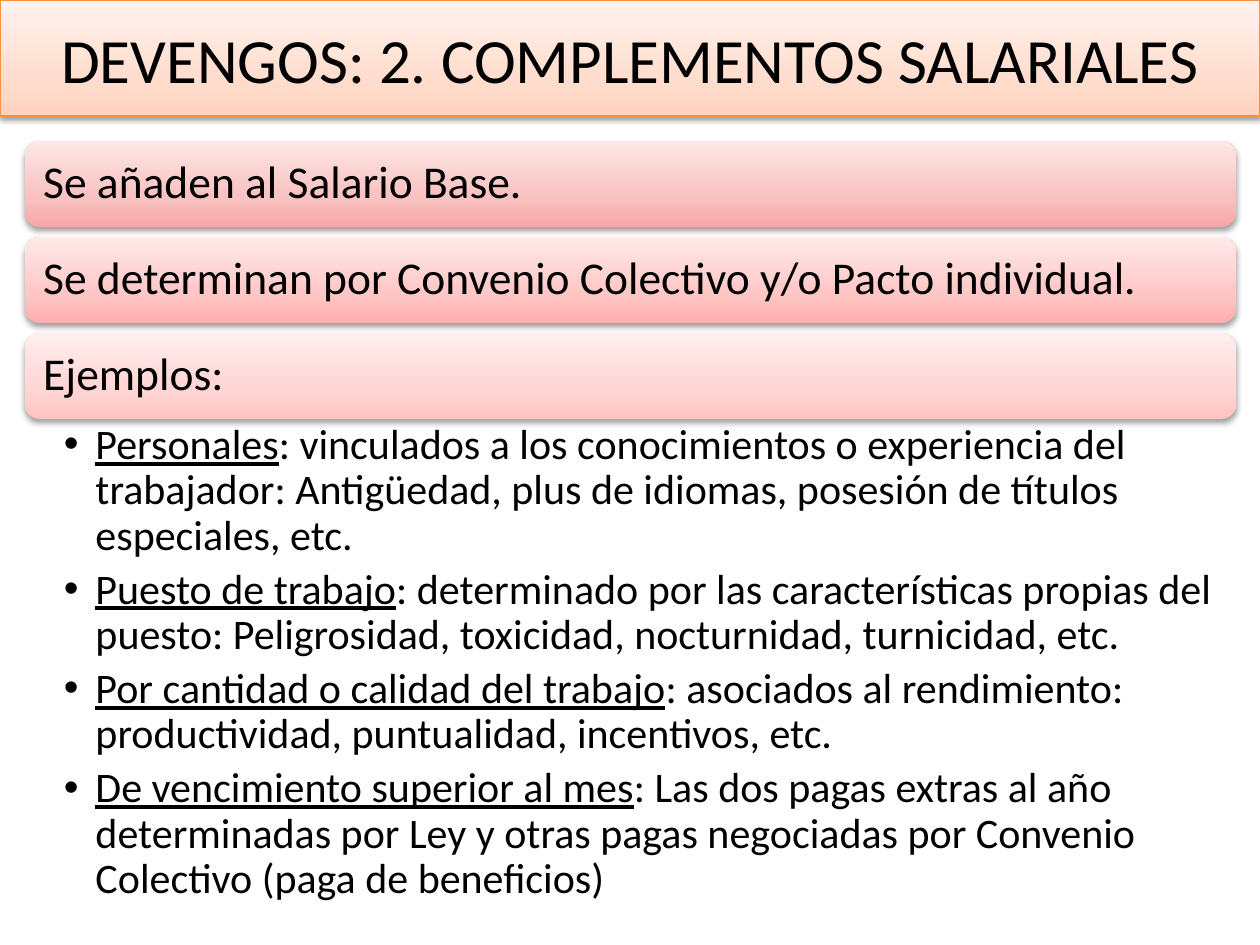
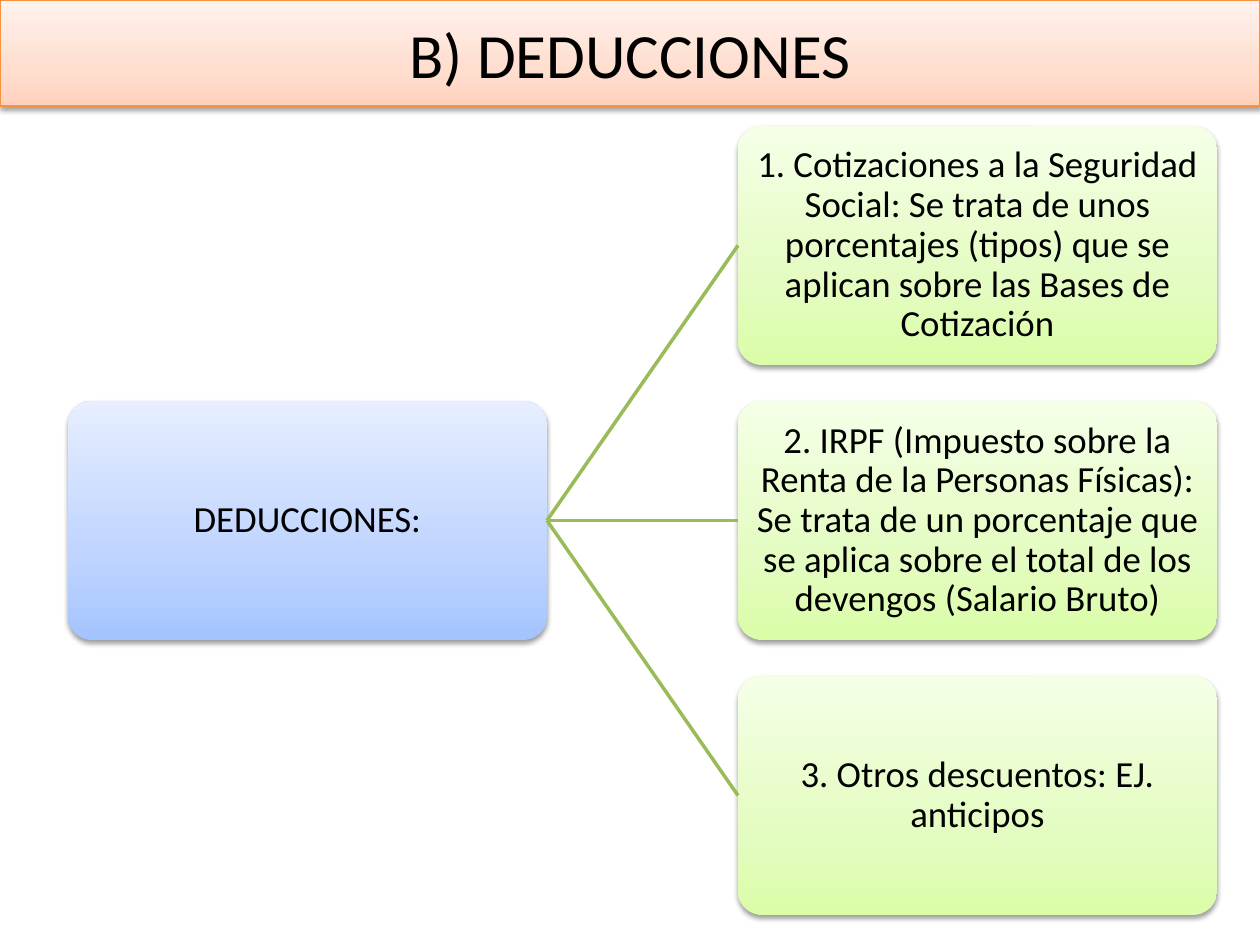
from copy import deepcopy

from lxml.etree import SubElement
from pptx import Presentation
from pptx.dml.color import RGBColor
from pptx.enum.shapes import MSO_CONNECTOR as Connector, MSO_SHAPE as Preset
from pptx.enum.text import MSO_ANCHOR as Anchor, MSO_AUTO_SIZE as AutoSize, PP_ALIGN as Align
from pptx.oxml.ns import qn
from pptx.util import Emu, Pt

FONT = "Calibri"
COLOURS = {
    "text": "000000",
    "shadow": "000000",
    "band_line": "F69240",
    "branch": "9BBB59",
    "band": ("FFD2BD", "FFDED0", "FFF2ED"),
    "row_1": ("F6A7A6", "F8C2C1", "FDE7E6"),
    "row_2": ("FFAFAE", "FEC7C6", "FFE9E9"),
    "row_3": ("FFC4C3", "FFD5D4", "FFEEEE"),
    "root": ("A4C4FF", "BFD4FF", "E6EEFF"),
    "deduction": ("DAFDA7", "E4FCC2", "F5FFE7"),
}
GRADIENT_POSITIONS = (0, 0.35, 1)

SUPPLEMENTS_TITLE = "DEVENGOS: 2. COMPLEMENTOS SALARIALES"
STATEMENTS = [
    ("row_1", "Se añaden al Salario Base."),
    ("row_2", "Se determinan por Convenio Colectivo y/o Pacto individual."),
    ("row_3", "Ejemplos:"),
]
EXAMPLES = [
    ("Personales", ": vinculados a los conocimientos o experiencia del trabajador: "
     "Antigüedad, plus de idiomas, posesión de títulos especiales, etc."),
    ("Puesto de trabajo", ": determinado por las características propias del puesto: "
     "Peligrosidad, toxicidad, nocturnidad, turnicidad, etc."),
    ("Por cantidad o calidad del trabajo", ": asociados al rendimiento: "
     "productividad, puntualidad, incentivos, etc."),
    ("De vencimiento superior al mes", ": Las dos pagas extras al año determinadas por Ley "
     "y otras pagas negociadas por Convenio Colectivo (paga de beneficios)"),
]
DEDUCTIONS_TITLE = "B) DEDUCCIONES"
ROOT = "DEDUCCIONES:"
DEDUCTIONS = [
    "1. Cotizaciones a la Seguridad Social: Se trata de unos porcentajes (tipos) "
    "que se aplican sobre las Bases de Cotización",
    "2. IRPF (Impuesto sobre la Renta de la Personas Físicas): Se trata de un porcentaje "
    "que se aplica sobre el total de los devengos (Salario Bruto)",
    "3. Otros descuentos: EJ. anticipos",
]

SLIDE_W, SLIDE_H = 1260, 945
ROW_X, ROW_Y, ROW_W, ROW_H, ROW_PITCH = 25, 141, 1211, 86, 96
EXAMPLES_Y, EXAMPLES_H = 419, 504
BOX_W, BOX_H, BOX_Y, BOX_PITCH = 479, 239, 126, 275
ROOT_X, DEDUCTION_X = 68, 738


def px(length):
    return Emu(round(length * 914400 / 126))


def rgb(name):
    return RGBColor.from_string(COLOURS[name])


def place(shape, x, y, w, h):
    shape.left, shape.top, shape.width, shape.height = map(px, (x, y, w, h))


def paint(shape, gradient):
    shape.fill.gradient()
    shape.fill.gradient_angle = 90
    properties = shape._element.spPr
    stops = properties.find(f".//{qn('a:gsLst')}")
    stops.append(deepcopy(stops[0]))
    for stop, position, colour in zip(shape.fill.gradient_stops, GRADIENT_POSITIONS,
                                      COLOURS[gradient]):
        stop.position = position
        stop.color.rgb = RGBColor.from_string(colour)
    shape.shadow.inherit = False
    shadow = SubElement(properties.find(qn("a:effectLst")), qn("a:outerShdw"),
                        blurRad="40000", dist="20000", dir="5400000", rotWithShape="0")
    tint = SubElement(shadow, qn("a:srgbClr"), val=COLOURS["shadow"])
    SubElement(tint, qn("a:alpha"), val="38000")


def set_font(paragraph, size):
    font = paragraph.font
    font.name, font.size = FONT, Pt(size)
    font.color.rgb = rgb("text")


def set_insets(frame, left, top, right, bottom):
    frame.margin_left, frame.margin_top = px(left), px(top)
    frame.margin_right, frame.margin_bottom = px(right), px(bottom)


def add_titled_slide(deck, layout, text, band_height):
    slide = deck.slides.add_slide(deck.slide_layouts[layout])
    title = slide.shapes.title
    place(title, 0, 0, SLIDE_W, band_height)
    paint(title, "band")
    title.line.color.rgb = rgb("band_line")
    title.line.width = Pt(0.75)
    frame = title.text_frame
    frame.text = text
    frame.auto_size = AutoSize.NONE
    frame.vertical_anchor = Anchor.MIDDLE
    frame.paragraphs[0].alignment = Align.CENTER
    set_font(frame.paragraphs[0], 36)
    return slide


def add_box(slide, bounds, gradient, text, size, align, inset, corner):
    box = slide.shapes.add_shape(Preset.ROUNDED_RECTANGLE, *map(px, bounds))
    box.adjustments[0] = corner
    paint(box, gradient)
    box.line.fill.background()
    frame = box.text_frame
    frame.text = text
    frame.word_wrap = True
    frame.vertical_anchor = Anchor.MIDDLE
    set_insets(frame, inset, inset, inset, inset)
    paragraph = frame.paragraphs[0]
    paragraph.alignment = align
    paragraph.line_spacing = 0.9
    set_font(paragraph, size)
    return box


def fill_examples(body):
    place(body, ROW_X, EXAMPLES_Y, ROW_W, EXAMPLES_H)
    frame = body.text_frame
    frame.auto_size = AutoSize.NONE
    frame.vertical_anchor = Anchor.TOP
    set_insets(frame, 39, 4, 24, 4)
    for index, (kind, detail) in enumerate(EXAMPLES):
        paragraph = frame.add_paragraph() if index else frame.paragraphs[0]
        paragraph.level = 1
        paragraph.line_spacing = 0.9
        paragraph.space_before = Pt(0)
        paragraph.space_after = Pt(5)
        properties = paragraph._p.get_or_add_pPr()
        properties.set("marL", "228600")
        properties.set("indent", "-228600")
        SubElement(properties, qn("a:buChar"), char="•")
        set_font(paragraph, 24)
        for text, underlined in ((kind, True), (detail, False)):
            run = paragraph.add_run()
            run.text = text
            run.font.underline = underlined


def add_branch(slide, root, deduction):
    branch = slide.shapes.add_connector(Connector.STRAIGHT, 0, 0, 0, 0)
    branch.begin_connect(root, 3)
    branch.end_connect(deduction, 1)
    branch.line.color.rgb = rgb("branch")
    branch.line.width = Pt(2)
    SubElement(branch._element.spPr, qn("a:effectLst"))


def build_supplements(deck):
    slide = add_titled_slide(deck, 1, SUPPLEMENTS_TITLE, 116)
    for index, (gradient, statement) in enumerate(STATEMENTS):
        bounds = (ROW_X, ROW_Y + index * ROW_PITCH, ROW_W, ROW_H)
        add_box(slide, bounds, gradient, statement, 26, Align.LEFT, 14, 0.17)
    fill_examples(slide.placeholders[1])


def build_deductions(deck):
    slide = add_titled_slide(deck, 5, DEDUCTIONS_TITLE, 106)

    def add_node(x, row, gradient, text):
        bounds = (x, BOX_Y + row * BOX_PITCH, BOX_W, BOX_H)
        return add_box(slide, bounds, gradient, text, 21, Align.CENTER, 1, 0.1)

    root = add_node(ROOT_X, 1, "root", ROOT)
    for row, text in enumerate(DEDUCTIONS):
        add_branch(slide, root, add_node(DEDUCTION_X, row, "deduction", text))


def main():
    """Build the two payroll slides and save them."""
    deck = Presentation()
    deck.slide_width, deck.slide_height = px(SLIDE_W), px(SLIDE_H)
    build_supplements(deck)
    build_deductions(deck)
    deck.save("out.pptx")


if __name__ == "__main__":
    main()
